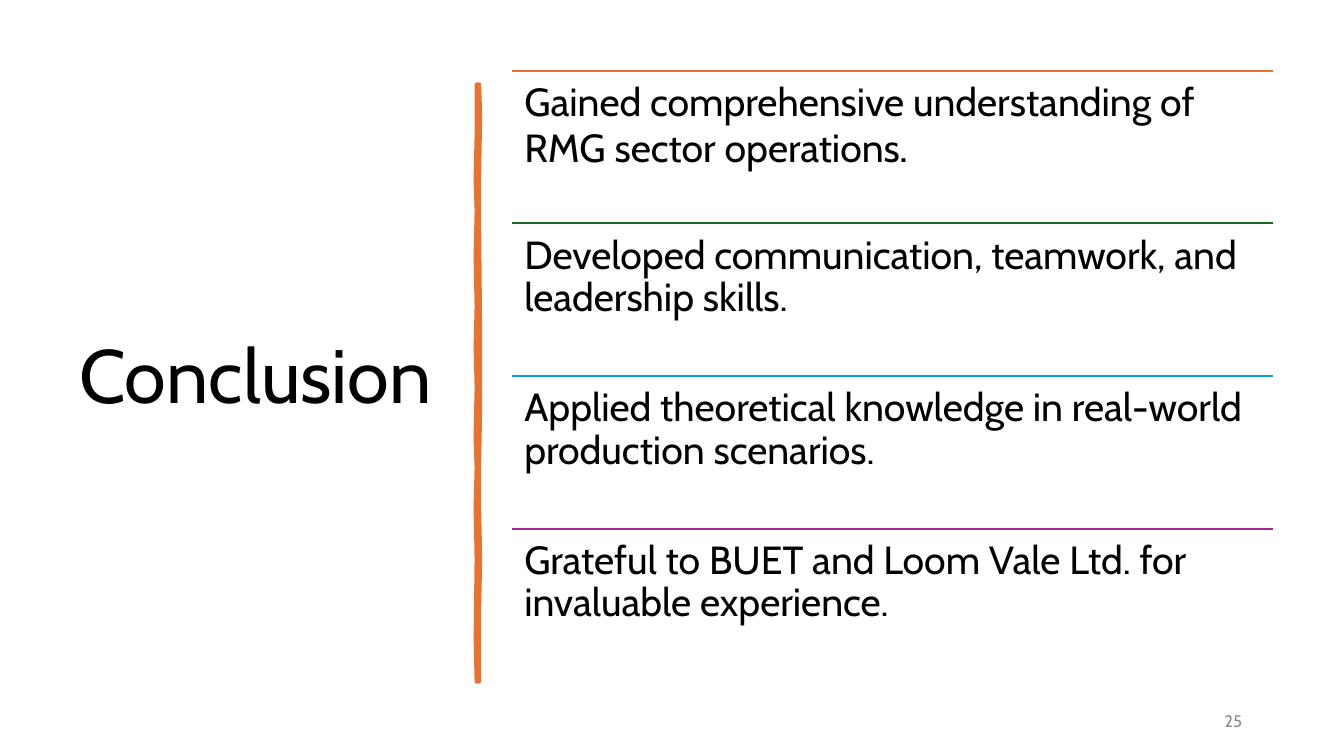
import pptx
import pptx.util
import pptx.dml.color
import pptx.enum.shapes
import pptx.enum.text
import pptx.oxml.ns
from lxml import etree

Inches = pptx.util.Inches
Pt = pptx.util.Pt
ALIGN = pptx.enum.text.PP_ALIGN
ANCHOR = pptx.enum.text.MSO_ANCHOR

FONT = "Cabin"
BLACK = "000000"
ORANGE = "E97132"
TAKEAWAYS = [
    ("Gained comprehensive understanding of RMG sector operations.", ORANGE),
    ("Developed communication, teamwork, and leadership skills.", "196B24"),
    ("Applied theoretical knowledge in real-world production scenarios.", "0F9ED5"),
    ("Grateful to BUET and Loom Vale Ltd. for invaluable experience.", "A02B93"),
]
# Horizontal offset from the stroke's centre and height, going down the right edge
RIGHT_EDGE = [(0.01, 0), (0.02, 0.3), (0.01, 0.9), (0.01, 1.4), (0.02, 2.5),
              (0.02, 3.2), (0.01, 3.75), (0.01, 4.2), (0.02, 4.7), (0.01, 5.2),
              (0.01, 5.92)]
# The same going back up the left edge
LEFT_EDGE = [(-0.01, 5.92), (-0.02, 5.5), (-0.01, 4.7), (-0.02, 4.2), (-0.01, 3.8),
             (-0.02, 3.5), (-0.01, 3.0), (-0.02, 2.6), (-0.01, 2.2), (-0.02, 1.7),
             (-0.01, 1.25), (-0.02, 0.95), (-0.01, 0.5), (-0.01, 0)]


def color(hex_string):
    return pptx.dml.color.RGBColor.from_string(hex_string)


def add_text(slide, box, text, size, hex_color=BLACK, anchor=ANCHOR.TOP,
             align=ALIGN.LEFT, inset=0.1, line_spacing=0.9):
    """Place one paragraph in box and return it."""
    frame = slide.shapes.add_textbox(*map(Inches, box)).text_frame
    frame.word_wrap = True
    frame.vertical_anchor = anchor
    frame.margin_left = frame.margin_right = Inches(inset)
    frame.margin_top = frame.margin_bottom = Inches(inset)
    paragraph = frame.paragraphs[0]
    paragraph.text = text
    paragraph.alignment = align
    paragraph.line_spacing = line_spacing
    for run in paragraph.runs:
        run.font.name = FONT
        run.font.size = Pt(size)
        run.font.color.rgb = color(hex_color)
    return paragraph


def add_rule(slide, left, top, width, hex_color):
    rule = slide.shapes.add_connector(
        pptx.enum.shapes.MSO_CONNECTOR.STRAIGHT,
        Inches(left), Inches(top), Inches(left + width), Inches(top))
    rule.line.color.rgb = color(hex_color)
    rule.line.width = Pt(1.5)
    etree.SubElement(rule.element.spPr, pptx.oxml.ns.qn("a:effectLst"))


def add_brush_stroke(slide, center, top):
    """Draw the uneven vertical divider."""
    points = [(Inches(center + dx), Inches(top + dy))
              for dx, dy in RIGHT_EDGE + LEFT_EDGE]
    builder = slide.shapes.build_freeform(*points[0])
    builder.add_line_segments(points[1:], close=True)
    stroke = builder.convert_to_shape()
    stroke.shadow.inherit = False
    stroke.fill.solid()
    stroke.fill.fore_color.rgb = color(ORANGE)
    stroke.line.color.rgb = color(ORANGE)
    stroke.line.width = Pt(3.25)


def add_takeaways(slide, left, top, width, height):
    """Stack the takeaways in equal rows, each under its own rule."""
    row_height = height / len(TAKEAWAYS)
    for row, (takeaway, rule_color) in enumerate(TAKEAWAYS):
        row_top = top + row * row_height
        add_rule(slide, left, row_top, width, rule_color)
        paragraph = add_text(slide, (left, row_top, width, row_height),
                             takeaway, 28, inset=0.12)
        if row == 0:
            enlarge_full_stop(paragraph)


def enlarge_full_stop(paragraph):
    sentence = paragraph.runs[0]
    sentence.text = sentence.text[:-1]
    full_stop = paragraph.add_run()
    full_stop.text = "."
    full_stop.font.name = FONT
    full_stop.font.size = Pt(31)
    full_stop.font.color.rgb = color(BLACK)


def build_conclusion(slide):
    add_text(slide, (0.69, 0.7, 3.74, 6.11), "Conclusion", 54, anchor=ANCHOR.MIDDLE)
    add_brush_stroke(slide, center=4.74, top=0.84)
    add_text(slide, (9.42, 6.95, 3, 0.4), "25", 12, "8C8C8C",
             ANCHOR.MIDDLE, ALIGN.RIGHT, line_spacing=1.0)
    add_takeaways(slide, 5.08, 0.7, 7.55, 6.06)


def main():
    presentation = pptx.Presentation()
    presentation.slide_width = Inches(13.33)
    presentation.slide_height = Inches(7.5)
    build_conclusion(presentation.slides.add_slide(presentation.slide_layouts[6]))
    presentation.save("out.pptx")


if __name__ == "__main__":
    main()
